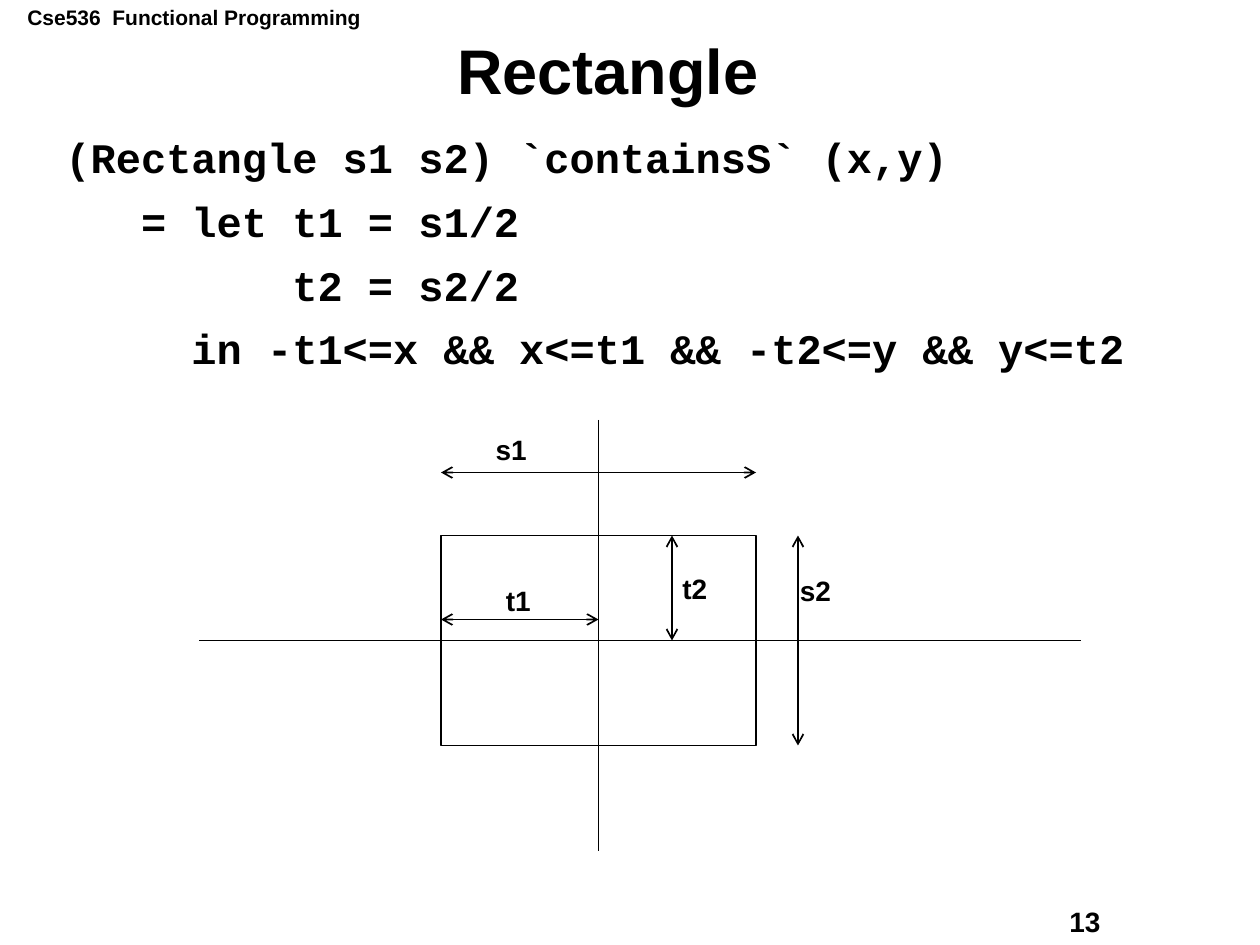
from pptx import Presentation
from pptx.dml.color import RGBColor
from pptx.enum import shapes, text
from pptx.oxml import ns, xmlchemy as x
from pptx.util import Pt


def color(value):
    return RGBColor.from_string(value)


class Slide:
    """Holds the text and line style and draws elements on one slide."""

    ink, paper = "000000", "FFFFFF"
    label_font = {"name": "Arial", "size": Pt(16), "bold": True}
    title_font = {**label_font, "size": Pt(36)}
    header_font = {**label_font, "size": Pt(12)}
    code_font = {"name": "Courier New", "size": Pt(24), "bold": True}
    code_gap = 10.5

    def __init__(self, prs):
        self.s = prs.slides.add_slide(prs.slide_layouts[1])

    def run(self, p, words, font):
        r = p.add_run()
        r.text = words
        for key, value in font.items():
            setattr(r.font, key, value)
        r.font.color.rgb = color(self.ink)

    def place(self, sp, left, top, width, height):
        box = dict(left=left, top=top, width=width, height=height)
        for key, value in box.items():
            setattr(sp, key, Pt(value))

    def frame(self, sp, anchor, wrap=True):
        tf = sp.text_frame
        style = {"vertical_anchor": anchor, "word_wrap": wrap,
                 "auto_size": text.MSO_AUTO_SIZE.NONE}
        for key, value in style.items():
            setattr(tf, key, value)
        return tf

    def title(self, words, *box):
        sp = self.s.shapes.title
        self.place(sp, *box)
        p = self.frame(sp, text.MSO_ANCHOR.MIDDLE).paragraphs[0]
        p.alignment = text.PP_ALIGN.CENTER
        p.line_spacing = 0.9
        self.run(p, words, self.title_font)

    def code(self, lines, *box):
        sp = self.s.placeholders[1]
        self.place(sp, *box)
        tf = self.frame(sp, text.MSO_ANCHOR.TOP)
        for i, line in enumerate(lines):
            p = tf.add_paragraph() if i else tf.paragraphs[0]
            pPr = p._p.get_or_add_pPr()
            pPr.set("marL", str(Pt(22.5)))
            pPr.set("indent", str(Pt(-22.5)))
            pPr.append(x.OxmlElement("a:buNone"))
            p.line_spacing = 0.9
            p.space_before = Pt(self.code_gap if i else 0)
            self.run(p, line, self.code_font)

    def label(self, words, left, top, width, height=26.5, font=None):
        box = map(Pt, (left, top, width, height))
        sp = self.s.shapes.add_textbox(*box)
        tf = self.frame(sp, text.MSO_ANCHOR.TOP, wrap=False)
        self.run(tf.paragraphs[0], words, font or self.label_font)

    def stroke(self, line):
        line.color.rgb = color(self.ink)
        line.width = Pt(1)

    def rectangle(self, *box):
        sp = self.s.shapes.add_shape(shapes.MSO_SHAPE.RECTANGLE, *map(Pt, box))
        sp.shadow.inherit = False
        sp.fill.solid()
        sp.fill.fore_color.rgb = color(self.paper)
        self.stroke(sp.line)

    def line(self, *ends, arrows=False):
        kind = shapes.MSO_CONNECTOR.STRAIGHT
        sp = self.s.shapes.add_connector(kind, *map(Pt, ends))
        self.stroke(sp.line)
        if arrows:
            ln = sp._element.spPr.find(ns.qn("a:ln"))
            for tag in ("a:headEnd", "a:tailEnd"):
                end = x.OxmlElement(tag)
                end.set("type", "arrow")
                ln.append(end)
        sp._element.spPr.append(x.OxmlElement("a:effectLst"))


def main():
    prs = Presentation()
    prs.slide_width, prs.slide_height = Pt(720), Pt(540)
    s = Slide(prs)
    s.label("Cse536  Functional Programming", 8.6, -0.7, 205, 21.6, s.header_font)
    s.label("13", 604, 513.4, 91.4)
    s.title("Rectangle", 22.3, 22.3, 650, 40.3)
    s.code(["(Rectangle s1 s2) `containsS` (x,y)",
            "   = let t1 = s1/2",
            "         t2 = s2/2",
            "     in -t1<=x && x<=t1 && -t2<=y && y<=t2"],
           30.2, 74.9, 642.2, 177.1)

    left, top, width, height = 252, 306, 180, 120
    right, bottom = left + width, top + height
    mid_x, mid_y = left + width / 2, top + height / 2
    s.rectangle(left, top, width, height)
    s.line(114, mid_y, 618, mid_y)
    s.line(mid_x, 240, mid_x, 486)
    for ends in [(left, top - 36, right, top - 36),
                 (right + 24, top, right + 24, bottom),
                 (left, mid_y - 12, mid_x, mid_y - 12),
                 (mid_x + 42, top, mid_x + 42, mid_y)]:
        s.line(*ends, arrows=True)
    for words, x_pos, y_pos, wide in [("s1", 276.2, 243.4, 31.7),
                                      ("s2", 450, 324, 31.7),
                                      ("t1", 282, 329.8, 28.5),
                                      ("t2", 382.8, 322.8, 28.5)]:
        s.label(words, x_pos, y_pos, wide)
    prs.save("out.pptx")


if __name__ == "__main__":
    main()
